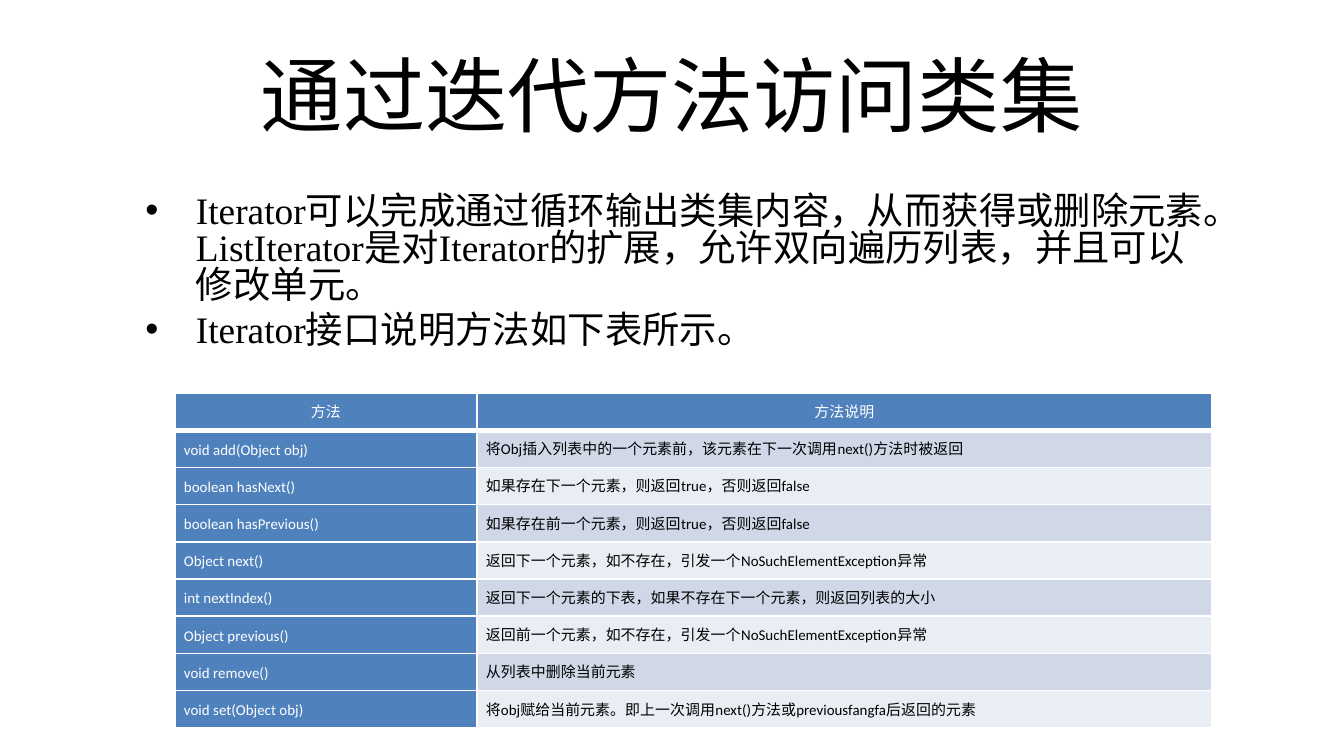
"""Build the slide on visiting collections with iterators."""
from lxml import etree
from pptx import Presentation
from pptx.dml.color import RGBColor
from pptx.enum.text import MSO_ANCHOR, MSO_AUTO_SIZE, PP_ALIGN
from pptx.oxml.ns import qn
from pptx.util import Emu, Pt

CENTER, LEFT = PP_ALIGN.CENTER, PP_ALIGN.LEFT
MIDDLE, TOP = MSO_ANCHOR.MIDDLE, MSO_ANCHOR.TOP
NO_AUTOFIT = MSO_AUTO_SIZE.NONE

CJK, SERIF, SANS = "Noto Sans CJK SC", "Times New Roman", "Calibri"
BLACK, WHITE, BLUE = "000000", "FFFFFF", "4F81BD"
BANDS = ["D0D8E8", "E9EDF4"]

TITLE = "通过迭代方法访问类集"
POINTS = [
    "Iterator可以完成通过循环输出类集内容，从而获得或删除元素。ListIterator是对Iterator的扩展，允许双向遍历列表，并且可以修改单元。",
    "Iterator接口说明方法如下表所示。",
]
METHODS = [
    ("方法", "方法说明"),
    ("void add(Object obj)", "将Obj插入列表中的一个元素前，该元素在下一次调用next()方法时被返回"),
    ("boolean hasNext()", "如果存在下一个元素，则返回true，否则返回false"),
    ("boolean hasPrevious()", "如果存在前一个元素，则返回true，否则返回false"),
    ("Object next()", "返回下一个元素，如不存在，引发一个NoSuchElementException异常"),
    ("int nextIndex()", "返回下一个元素的下表，如果不存在下一个元素，则返回列表的大小"),
    ("Object previous()", "返回前一个元素，如不存在，引发一个NoSuchElementException异常"),
    ("void remove()", "从列表中删除当前元素"),
    ("void set(Object obj)", "将obj赋给当前元素。即上一次调用next()方法或previousfangfa后返回的元素"),
]


def px(length):
    return Emu(round(length * 914400 / 134.4))


def color(value):
    return RGBColor.from_string(value)


class SlideBuilder:
    """Hold the style and the current slide."""

    def __init__(self, slide):
        self.slide = slide

    def add_span(self, para, text, size, font, ink):
        span = para.add_run()
        span.text = text
        span.font.size = Pt(size)
        span.font.name = font
        span.font.bold = False
        span.font.color.rgb = color(ink)
        east_asian = etree.SubElement(span._r.get_or_add_rPr(), qn("a:ea"))
        east_asian.set("typeface", CJK)

    def placeholder(self, box, area, anchor):
        box.left, box.top, box.width, box.height = map(px, area)
        frame = box.text_frame
        frame.word_wrap = True
        frame.auto_size = NO_AUTOFIT
        frame.vertical_anchor = anchor
        return frame

    def title(self, text, area):
        frame = self.placeholder(self.slide.shapes.title, area, MIDDLE)
        para = frame.paragraphs[0]
        para.alignment = CENTER
        self.add_span(para, text, 44, CJK, BLACK)

    def bullets(self, points, area):
        frame = self.placeholder(self.slide.placeholders[1], area, TOP)
        for index, point in enumerate(points):
            para = frame.add_paragraph() if index else frame.paragraphs[0]
            para.line_spacing = 0.83
            self.add_span(para, point, 20, SERIF, BLACK)

    def borders(self, cell, bottom):
        properties = cell._tc.get_or_add_tcPr()
        for side, width in (("L", 1), ("R", 1), ("T", 1), ("B", bottom)):
            line = etree.SubElement(properties, qn(f"a:ln{side}"), w=str(Pt(width)))
            fill = etree.SubElement(line, qn("a:solidFill"))
            etree.SubElement(fill, qn("a:srgbClr"), val=WHITE)

    def cell(self, cell, text, header, ink, fill):
        self.borders(cell, 3 if header else 1)
        cell.fill.solid()
        cell.fill.fore_color.rgb = color(fill)
        cell.vertical_anchor = MIDDLE
        cell.margin_left = cell.margin_right = px(9)
        cell.margin_top = cell.margin_bottom = 0
        para = cell.text_frame.paragraphs[0]
        para.alignment = CENTER if header else LEFT
        para.line_spacing = Pt(11)
        self.add_span(para, text, 8, SANS, ink)

    def table(self, rows, area, widths):
        table = self.slide.shapes.add_table(len(rows), len(widths), *map(px, area)).table
        for column, width in zip(table.columns, widths):
            column.width = px(width)
        for r, row in enumerate(rows):
            for c, text in enumerate(row):
                header = r == 0
                strong = header or c == 0
                ink = WHITE if strong else BLACK
                fill = BLUE if strong else BANDS[(r - 1) % 2]
                self.cell(table.cell(r, c), text, header, ink, fill)


def main():
    deck = Presentation()
    deck.slide_width, deck.slide_height = px(1344), px(756)
    page = SlideBuilder(deck.slides.add_slide(deck.slide_layouts[1]))
    page.title(TITLE, (67, 31, 1210, 126))
    page.bullets(POINTS, (132, 188, 1089, 218))
    page.table(METHODS, (175, 393, 1037, 335), (302, 735))
    deck.save("out.pptx")


if __name__ == "__main__":
    main()
